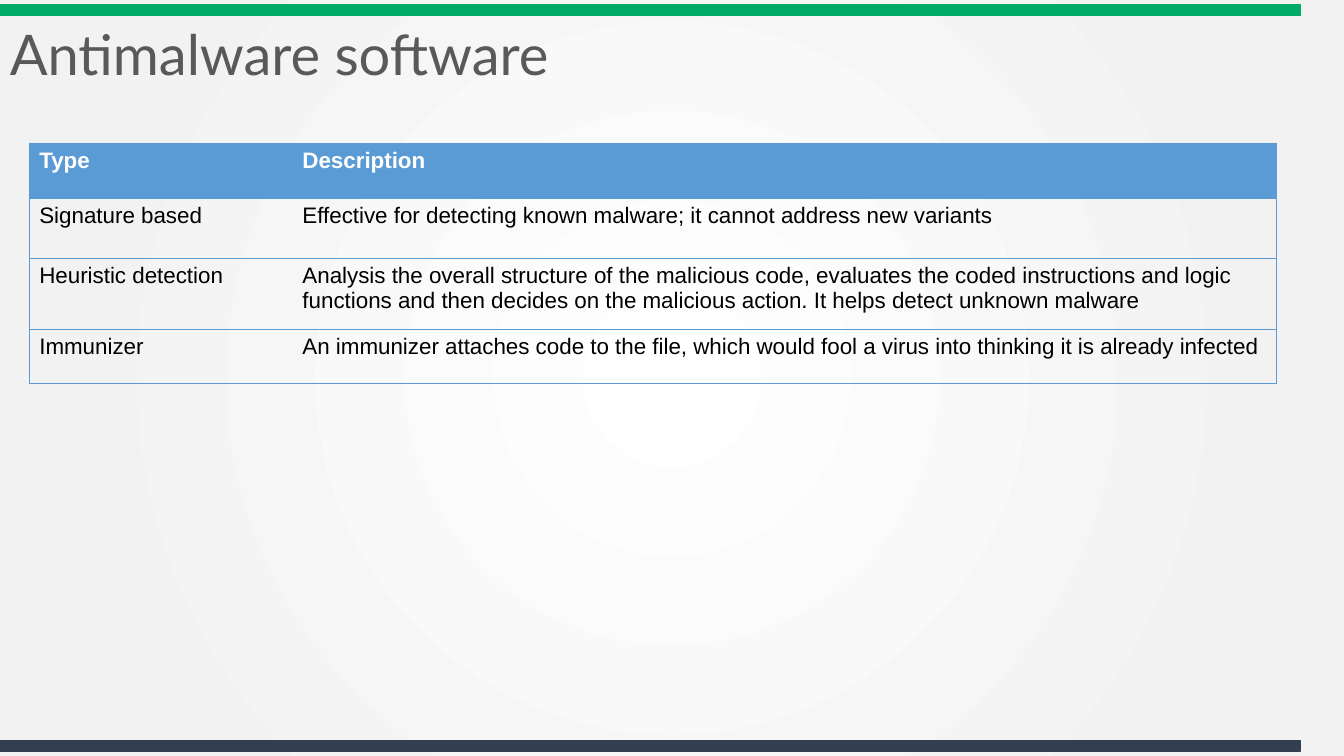
from pptx import Presentation
from pptx.dml.color import RGBColor
from pptx.enum.shapes import MSO_SHAPE
from pptx.enum.text import MSO_ANCHOR
from pptx.oxml import parse_xml
from pptx.oxml.ns import nsdecls, qn
from pptx.util import Inches, Pt

TITLE = "Antimalware software"
ROWS = [
    ("Type", "Description"),
    ("Signature based", "Effective for detecting known malware; it cannot address new variants"),
    ("Heuristic detection",
     "Analysis the overall structure of the malicious code, evaluates the coded instructions "
     "and logic functions and then decides on the malicious action. It helps detect unknown malware"),
    ("Immunizer",
     "An immunizer attaches code to the file, which would fool a virus into thinking "
     "it is already infected"),
]
COLUMN_WIDTHS = [2.61, 9.76]
ROW_HEIGHTS = [0.55, 0.59, 0.71, 0.53]
BARS = [(0.05, "00AC65"), (7.35, "333F50")]
GRADIENT = [(0, "FFFFFF"), (81, "F2F2F2"), (100, "F2F2F2")]
BLUE = "5B9BD5"
NO_STYLE = "{2D5ABB26-0587-4C30-8999-92F81FD0307C}"


def color(value):
    return RGBColor.from_string(value)


def add_span(para, text, font, size, value, bold=False):
    span = para.add_run()
    span.text = text
    span.font.name = font
    span.font.size = Pt(size)
    span.font.bold = bold
    span.font.color.rgb = color(value)


def set_background(page):
    stops = "".join(
        f'<a:gs pos="{place * 1000}"><a:srgbClr val="{value}"/></a:gs>' for place, value in GRADIENT)
    page.element.cSld.insert(0, parse_xml(
        f'<p:bg {nsdecls("p", "a")}><p:bgPr><a:gradFill rotWithShape="1"><a:gsLst>{stops}</a:gsLst>'
        '<a:path path="circle"><a:fillToRect l="50000" t="50000" r="50000" b="50000"/></a:path>'
        '</a:gradFill><a:effectLst/></p:bgPr></p:bg>'))


def set_borders(cell, sides):
    properties = cell._tc.get_or_add_tcPr()
    for index, side in enumerate("LRTB"):
        paint = (f'<a:solidFill><a:srgbClr val="{BLUE}"/></a:solidFill>'
                 if side in sides else "<a:noFill/>")
        properties.insert(index, parse_xml(
            f'<a:ln{side} {nsdecls("a")} w="{Pt(0.5)}">{paint}</a:ln{side}>'))


deck = Presentation()
deck.slide_width, deck.slide_height = Inches(13.33), Inches(7.5)
page = deck.slides.add_slide(deck.slide_layouts[6])
set_background(page)

for top, value in BARS:
    bar = page.shapes.add_shape(
        MSO_SHAPE.RECTANGLE, Inches(0), Inches(top), Inches(12.9), Inches(0.1))
    bar.shadow.inherit = False
    bar.fill.solid()
    bar.fill.fore_color.rgb = color(value)
    bar.line.color.rgb = color(value)
    bar.line.width = Pt(1)

box = page.shapes.add_textbox(Inches(0), Inches(0.17), Inches(12.94), Inches(0.8))
box.text_frame.word_wrap = True
box.text_frame.vertical_anchor = MSO_ANCHOR.MIDDLE
heading = box.text_frame.paragraphs[0]
heading.line_spacing = 0.9
add_span(heading, TITLE, "Lato", 40, "595959")

frame = page.shapes.add_table(
    len(ROWS), len(COLUMN_WIDTHS), Inches(0.29), Inches(1.42),
    Inches(sum(COLUMN_WIDTHS)), Inches(sum(ROW_HEIGHTS)))
table = frame.table
table.horizontal_banding = False
table._tbl.tblPr.find(qn("a:tableStyleId")).text = NO_STYLE
for column, width in zip(table.columns, COLUMN_WIDTHS):
    column.width = Inches(width)
for row, height in zip(table.rows, ROW_HEIGHTS):
    row.height = Inches(height)

for row_index, texts in enumerate(ROWS):
    header = row_index == 0
    for column_index, text in enumerate(texts):
        cell = table.cell(row_index, column_index)
        if header:
            cell.fill.solid()
            cell.fill.fore_color.rgb = color(BLUE)
        else:
            cell.fill.background()
        set_borders(cell, "TB" + "LR"[column_index])
        add_span(cell.text_frame.paragraphs[0], text, "Arial", 16,
                 "FFFFFF" if header else "000000", header)

deck.save("out.pptx")
